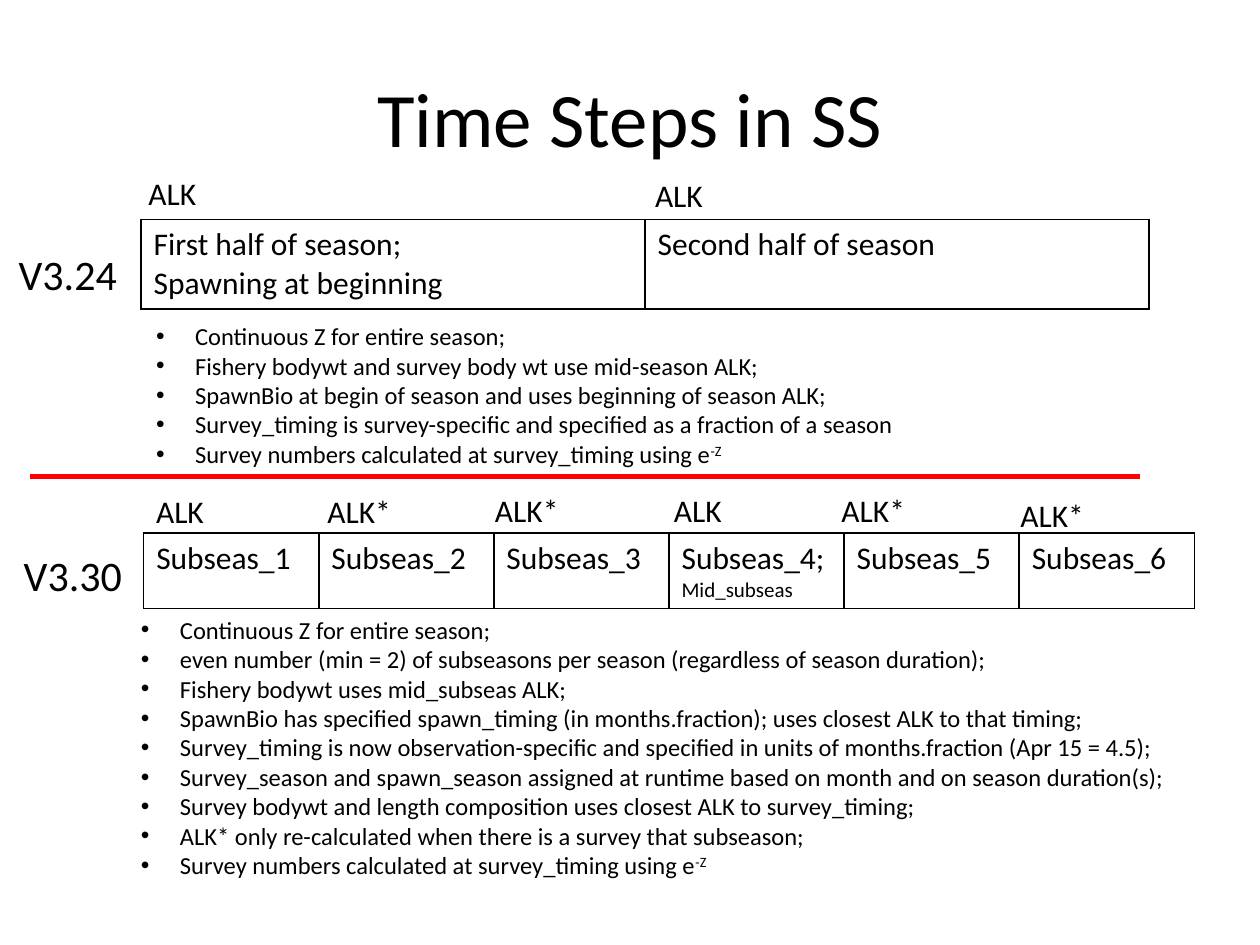
from lxml.etree import SubElement
from pptx import Presentation
from pptx.dml.color import RGBColor
from pptx.enum.shapes import MSO_CONNECTOR
from pptx.enum.text import MSO_ANCHOR, PP_ALIGN
from pptx.oxml.ns import qn
from pptx.util import Pt

PX = 9144  # EMU in one px, 100 px to the inch
FONT = "Calibri"
COLORS = {"ink": "000000", "rule": "FF0000"}

OLD_CELLS = ["First half of season;\nSpawning at beginning", "Second half of season"]
OLD_MARKS = [("ALK", 103, 0), ("ALK", 505, 2)]
OLD_NOTES = [
    "Continuous Z for entire season;",
    "Fishery bodywt and survey body wt use mid-season ALK;",
    "SpawnBio at begin of season and uses beginning of season ALK;",
    "Survey_timing is survey-specific and specified as a fraction of a season",
    "Survey numbers calculated at survey_timing using e^-Z",
]
NEW_CELLS = ["Subseas_1", "Subseas_2", "Subseas_3", "Subseas_4;\nMid_subseas",
             "Subseas_5", "Subseas_6"]
NEW_MARKS = [("ALK", 105, 1), ("ALK*", 241, 1), ("ALK*", 374, 0),
             ("ALK", 516, 0), ("ALK*", 649, 0), ("ALK*", 791, 4)]
NEW_NOTES = [
    "Continuous Z for entire season;",
    "even number (min = 2) of subseasons per season (regardless of season duration);",
    "Fishery bodywt uses mid_subseas ALK;",
    "SpawnBio has specified spawn_timing (in months.fraction); uses closest ALK to that timing;",
    "Survey_timing is now observation-specific and specified in units of months.fraction (Apr 15 = 4.5);",
    "Survey_season and spawn_season assigned at runtime based on month and on season duration(s);",
    "Survey bodywt and length composition uses closest ALK to survey_timing;",
    "ALK* only re-calculated when there is a survey that subseason;",
    "Survey numbers calculated at survey_timing using e^-Z",
]


def emu(*sizes):
    return [size * PX for size in sizes]


def style(para, size):
    for run in para.runs:
        run.font.name = FONT
        run.font.size = Pt(size)
        run.font.color.rgb = RGBColor.from_string(COLORS["ink"])


def add_label(slide, text, box, size):
    frame = slide.shapes.add_textbox(*emu(*box)).text_frame
    frame.word_wrap = False
    frame.text = text
    style(frame.paragraphs[0], size)


def add_edges(cell):
    props = cell._tc.get_or_add_tcPr()
    for side in ("a:lnL", "a:lnR", "a:lnT", "a:lnB"):
        line = SubElement(props, qn(side), w=str(Pt(1)))
        fill = SubElement(line, qn("a:solidFill"))
        SubElement(fill, qn("a:srgbClr"), val=COLORS["ink"])


def add_grid(slide, texts, box):
    table = slide.shapes.add_table(1, len(texts), *emu(*box)).table
    table.first_row = table.horz_banding = False
    for cell, text in zip(table.iter_cells(), texts):
        add_edges(cell)
        cell.fill.background()
        cell.text_frame.text = text
        for para in cell.text_frame.paragraphs:
            style(para, 12 if para.text == "Mid_subseas" else 18)


def add_notes(slide, notes, box):
    frame = slide.shapes.add_textbox(*emu(*box)).text_frame
    frame.word_wrap = True
    for i, note in enumerate(notes):
        para = frame.paragraphs[0] if i == 0 else frame.add_paragraph()
        base, _, power = note.partition("^")
        para.text = base
        if power:
            run = para.add_run()
            run.text = power
            run.font._element.set("baseline", "30000")
        style(para, 14)
        props = para._p.get_or_add_pPr()
        props.set("marL", str(31 * PX))
        props.set("indent", str(-31 * PX))
        SubElement(props, qn("a:buFont"), typeface="Arial")
        SubElement(props, qn("a:buChar"), char="•")


def add_title(slide, text, box):
    title = slide.shapes.title
    title.left, title.top, title.width, title.height = emu(*box)
    title.text_frame.text = text
    title.text_frame.vertical_anchor = MSO_ANCHOR.MIDDLE
    title.text_frame.paragraphs[0].alignment = PP_ALIGN.CENTER
    style(title.text_frame.paragraphs[0], 44)


def add_era(slide, left, top, name, name_top, cells, grid, marks, notes, list_box):
    """One version: its name, season grid, ALK marks and notes."""
    def place(x, y, width, height):
        return left + x, top + y, width, height

    add_grid(slide, cells, place(*grid))
    for text, x, y in marks:
        add_label(slide, text, place(x, y, 58 if text == "ALK" else 75, 40), 18)
    add_notes(slide, notes, place(*list_box))
    add_label(slide, name, place(0, name_top, 100, 50), 24)


def add_rule(slide, left, top, width):
    rule = slide.shapes.add_connector(
        MSO_CONNECTOR.STRAIGHT, *emu(left, top, left + width, top))
    rule.line.color.rgb = RGBColor.from_string(COLORS["rule"])
    rule.line.width = Pt(3)
    SubElement(rule._element.spPr, qn("a:effectLst"))


def main():
    deck = Presentation()
    deck.slide_width, deck.slide_height = emu(1000, 750)
    slide = deck.slides.add_slide(deck.slide_layouts[5])

    add_title(slide, "Time Steps in SS", (50, 30, 900, 125))
    # Older version above the rule
    add_era(slide, 5, 133, "V3.24", 59, OLD_CELLS, (107, 41, 800, 70),
            OLD_MARKS, OLD_NOTES, (109, 117, 792, 128))
    # Newer version below the rule
    add_era(slide, 9, 385, "V3.30", 46, NEW_CELLS, (105, 38, 834, 60),
            NEW_MARKS, NEW_NOTES, (93, 98, 875, 222))
    add_rule(slide, 24, 378, 881)

    deck.save("out.pptx")


if __name__ == "__main__":
    main()
